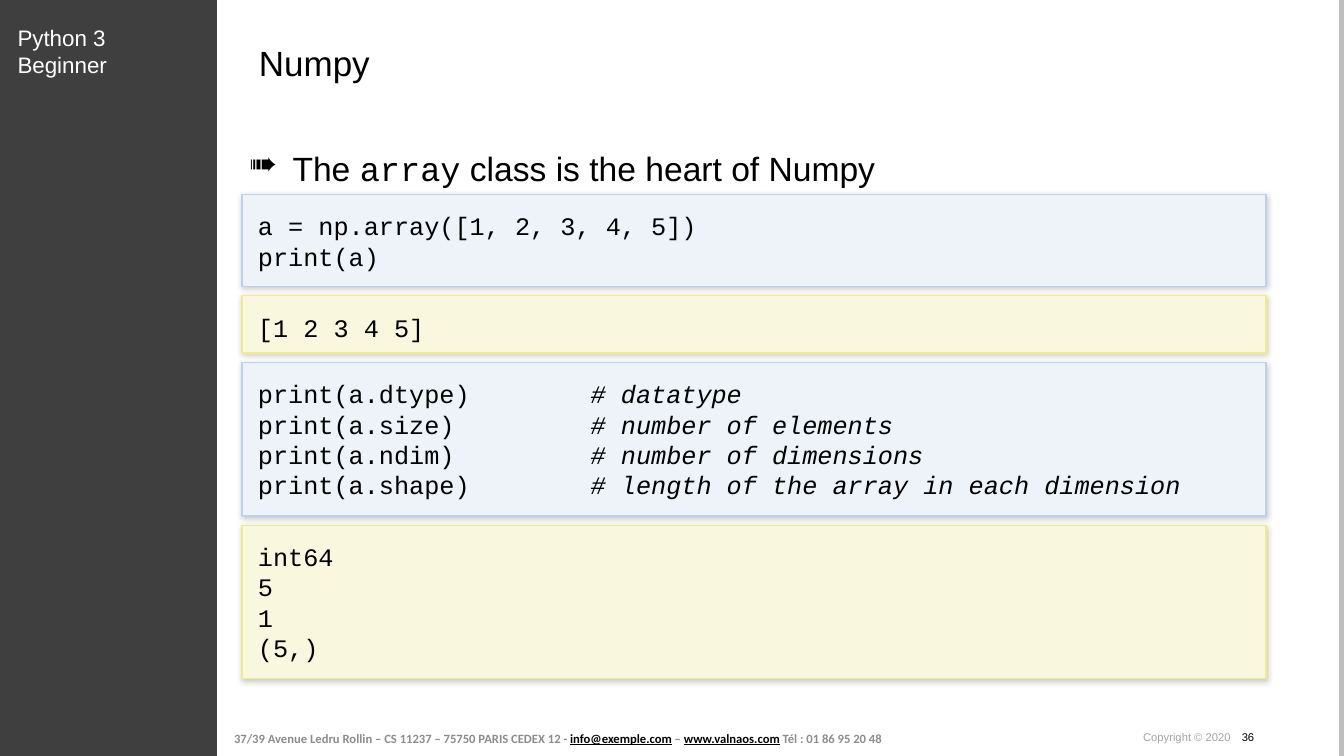
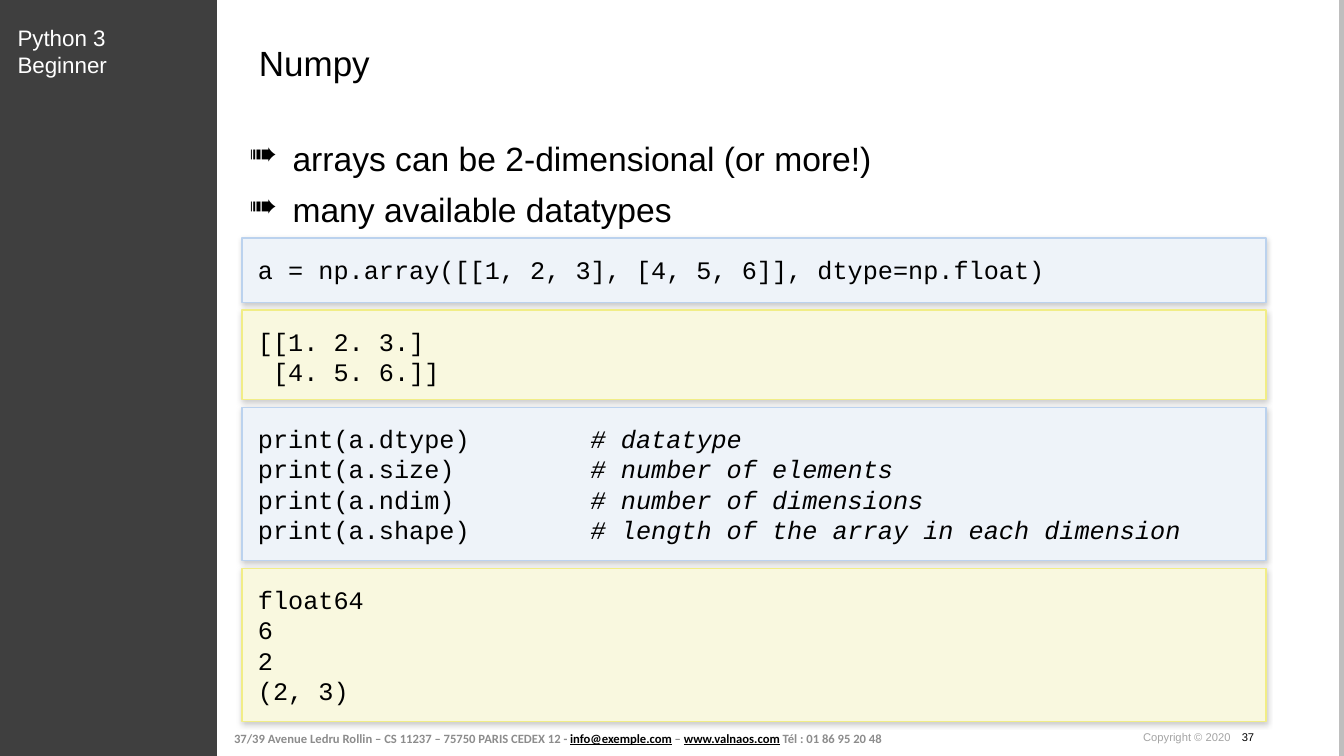
from dataclasses import dataclass
from typing import NamedTuple

from lxml.etree import SubElement
from pptx import Presentation
from pptx.dml.color import RGBColor
from pptx.enum.shapes import MSO_CONNECTOR, MSO_SHAPE
from pptx.enum.text import MSO_ANCHOR, PP_ALIGN
from pptx.oxml.ns import qn
from pptx.util import Pt

WIDE, HIGH = 960, 540
BLACK, WHITE = "000000", "FFFFFF"
DARK, RULE = "3F3F3F", "BEBEBE"
GREY, PALE = "8C8C8C", "A4A4A4"
SANS, MONO, FOOT = "Arial", "Courier New", "Calibri"
LINE = 20.4
LEFT, SPAN, PAD = 172.8, 731.5, 11.5
HANG = 31
NOTE_COL = 22


class Run(NamedTuple):
    text: str
    font: str | None = None
    color: str | None = None
    italic: bool = False
    under: bool = False


class Style(NamedTuple):
    font: str
    size: float
    color: str = BLACK
    bold: bool = False


class Look(NamedTuple):
    fill: str
    line: str


CODE = Look("EEF3F9", "BBD2EE")
SHOWN = Look("F9F8DF", "F1ED86")
MONO_18 = Style(MONO, 18)


@dataclass
class Block:
    look: Look
    high: float
    lines: list[list[Run]]


@dataclass
class Page:
    num: int
    top: float
    points: list[list[Run]]
    start: float
    gap: float
    blocks: list[Block]


def rgb(color: str) -> RGBColor:
    return RGBColor.from_string(color)


def plain(*lines: str) -> list[list[Run]]:
    return [[Run(line)] for line in lines]


def write(para, runs: list[Run], style: Style) -> None:
    para.alignment = PP_ALIGN.LEFT
    font = para.font
    font.name, font.size, font.bold = style.font, Pt(style.size), style.bold
    font.color.rgb = rgb(style.color)
    for part in runs:
        run = para.add_run()
        run.text = part.text
        if part.font:
            run.font.name = part.font
        if part.color:
            run.font.color.rgb = rgb(part.color)
        if part.italic:
            run.font.italic = True
        if part.under:
            run.font.underline = True


def set_frame(frame, pad: float = 0, anchor=MSO_ANCHOR.TOP) -> None:
    frame.word_wrap = True
    frame.vertical_anchor = anchor
    frame.margin_left = frame.margin_right = Pt(pad)
    frame.margin_top = frame.margin_bottom = Pt(pad)


def fill_lines(frame, lines: list[list[Run]], style: Style) -> None:
    for i, runs in enumerate(lines):
        para = frame.add_paragraph() if i else frame.paragraphs[0]
        write(para, runs, style)


def add_text(slide, x: float, y: float, w: float, h: float,
             runs: list[Run], style: Style, anchor=MSO_ANCHOR.TOP,
             tab: float = 0) -> None:
    frame = slide.shapes.add_textbox(Pt(x), Pt(y), Pt(w), Pt(h)).text_frame
    set_frame(frame, anchor=anchor)
    para = frame.paragraphs[0]
    if tab:
        tabs = SubElement(para._p.get_or_add_pPr(), qn("a:tabLst"))
        SubElement(tabs, qn("a:tab"), pos=str(Pt(tab)), algn="l")
    write(para, runs, style)


def add_rect(slide, x: float, y: float, w: float, h: float, fill: str):
    rect = slide.shapes.add_shape(
        MSO_SHAPE.RECTANGLE, Pt(x), Pt(y), Pt(w), Pt(h))
    rect.shadow.inherit = False
    rect.fill.solid()
    rect.fill.fore_color.rgb = rgb(fill)
    rect.line.fill.background()
    return rect


def add_shade(shape) -> None:
    effects = shape._element.spPr.find(qn("a:effectLst"))
    shade = SubElement(effects, qn("a:outerShdw"), blurRad=str(Pt(4)),
                       dist=str(Pt(1)), dir="5400000", rotWithShape="0")
    color = SubElement(shade, qn("a:srgbClr"), val=BLACK)
    SubElement(color, qn("a:alpha"), val="20000")


def add_block(slide, block: Block, y: float) -> None:
    rect = add_rect(slide, LEFT, y, SPAN, block.high, block.look.fill)
    rect.line.color.rgb = rgb(block.look.line)
    rect.line.width = Pt(1)
    add_shade(rect)
    set_frame(rect.text_frame, PAD)
    fill_lines(rect.text_frame, block.lines, MONO_18)


def add_points(slide, y: float, points: list[list[Run]]) -> None:
    box = slide.shapes.add_textbox(
        Pt(178), Pt(y), Pt(720), Pt(36 * len(points)))
    set_frame(box.text_frame)
    for i, runs in enumerate(points):
        para = box.text_frame.add_paragraph() if i else box.text_frame.paragraphs[0]
        props = para._p.get_or_add_pPr()
        props.set("marL", str(Pt(HANG)))
        props.set("indent", str(-Pt(HANG)))
        if i:
            para.space_before = Pt(8.1)
        SubElement(props, qn("a:buChar"), char="➠")
        write(para, runs, Style(SANS, 24))


def add_base(slide, num: int) -> None:
    rule = slide.shapes.add_connector(
        MSO_CONNECTOR.STRAIGHT, Pt(958.3), Pt(0), Pt(958.3), Pt(HIGH))
    rule.line.color.rgb = rgb(RULE)
    rule.line.width = Pt(3.34)
    SubElement(rule._element.spPr, qn("a:effectLst"))
    add_rect(slide, 0, 0, 155, HIGH, DARK)
    add_text(slide, 167.2, 516, 476, 23, [
        Run("37/39 Avenue Ledru Rollin – CS 11237 – 75750 PARIS CEDEX 12 - "),
        Run("info@exemple.com", color=BLACK, under=True),
        Run(" – "),
        Run("www.valnaos.com", color=BLACK, under=True),
        Run(" Tél : 01 86 95 20 48"),
    ], Style(FOOT, 9, GREY, True), MSO_ANCHOR.MIDDLE)
    add_text(slide, 12.5, 17.5, 120, 39, [Run("Python 3 Beginner")],
             Style(SANS, 16, WHITE))
    add_text(slide, 185, 30, 713, 30, [Run("Numpy")], Style(SANS, 25))
    add_text(slide, 816.5, 522, 123, 10,
             [Run("Copyright © 2020\t"), Run(str(num), color=BLACK)],
             Style(SANS, 8, PALE), tab=70.5)


def add_page(deck, page: Page) -> None:
    slide = deck.slides.add_slide(deck.slide_layouts[6])
    add_base(slide, page.num)
    add_points(slide, page.top, page.points)
    y = page.start
    for block in page.blocks:
        add_block(slide, block, y)
        y += block.high + page.gap


NOTES = {
    "dtype": "datatype",
    "size": "number of elements",
    "ndim": "number of dimensions",
    "shape": "length of the array in each dimension",
}
PROBE = Block(CODE, 109.5, [
    [Run(f"print(a.{name})".ljust(NOTE_COL)), Run(f"# {note}", italic=True)]
    for name, note in NOTES.items()
])

PAGES = [
    Page(36, 105.5,
         [[Run("The "), Run("array", MONO), Run(" class is the heart of Numpy")]],
         139, 6.75, [
             Block(CODE, 65.5, plain("a = np.array([1, 2, 3, 4, 5])", "print(a)")),
             Block(SHOWN, 41, plain("[1 2 3 4 5]")),
             PROBE,
             Block(SHOWN, 109.5, plain("int64", "5", "1", "(5,)")),
         ]),
    Page(37, 98.3,
         plain("arrays can be 2-dimensional (or more!)", "many available datatypes"),
         170, 5.5, [
             Block(CODE, 46, plain(
                 "a = np.array([[1, 2, 3], [4, 5, 6]], dtype=np.float)")),
             Block(SHOWN, 64, plain("[[1. 2. 3.]", " [4. 5. 6.]]")),
             PROBE,
             Block(SHOWN, 109.5, plain("float64", "6", "2", "(2, 3)")),
         ]),
]


def main() -> None:
    deck = Presentation()
    deck.slide_width, deck.slide_height = Pt(WIDE), Pt(HIGH)
    for page in PAGES:
        add_page(deck, page)
    deck.save("out.pptx")


if __name__ == "__main__":
    main()
